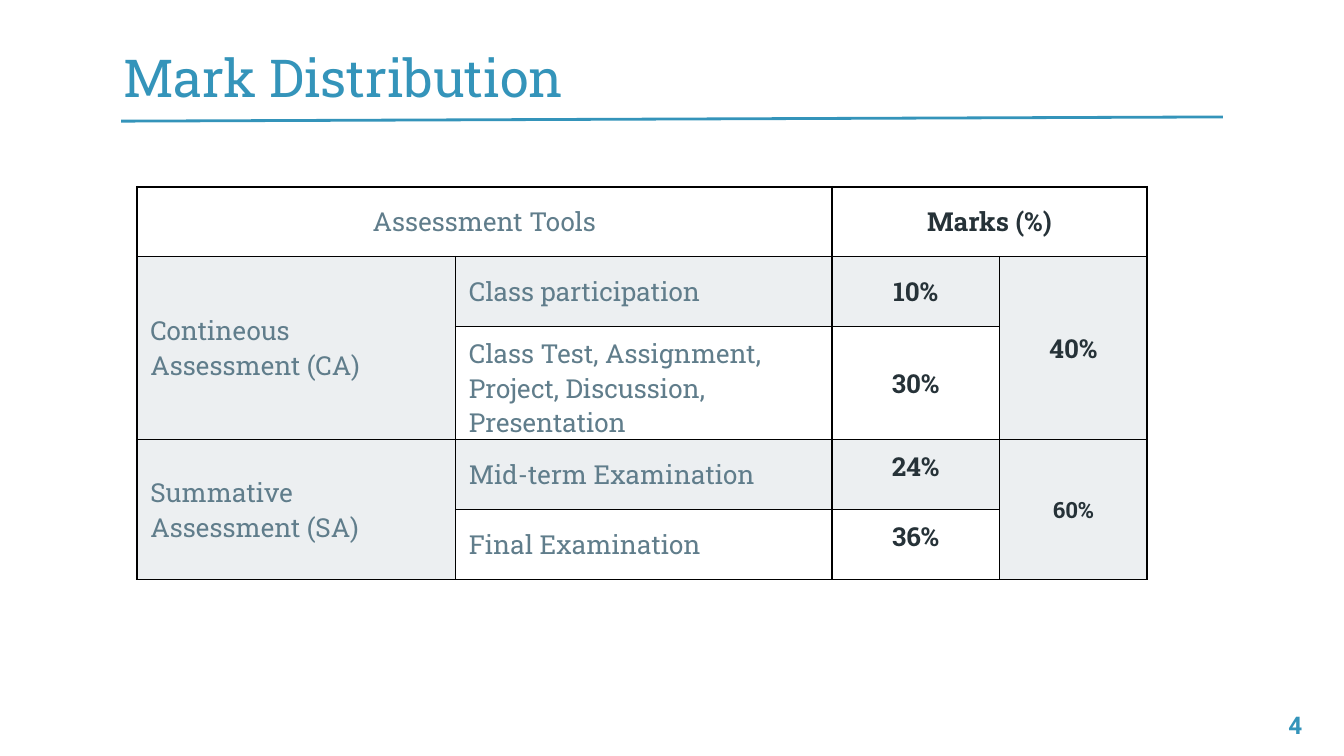
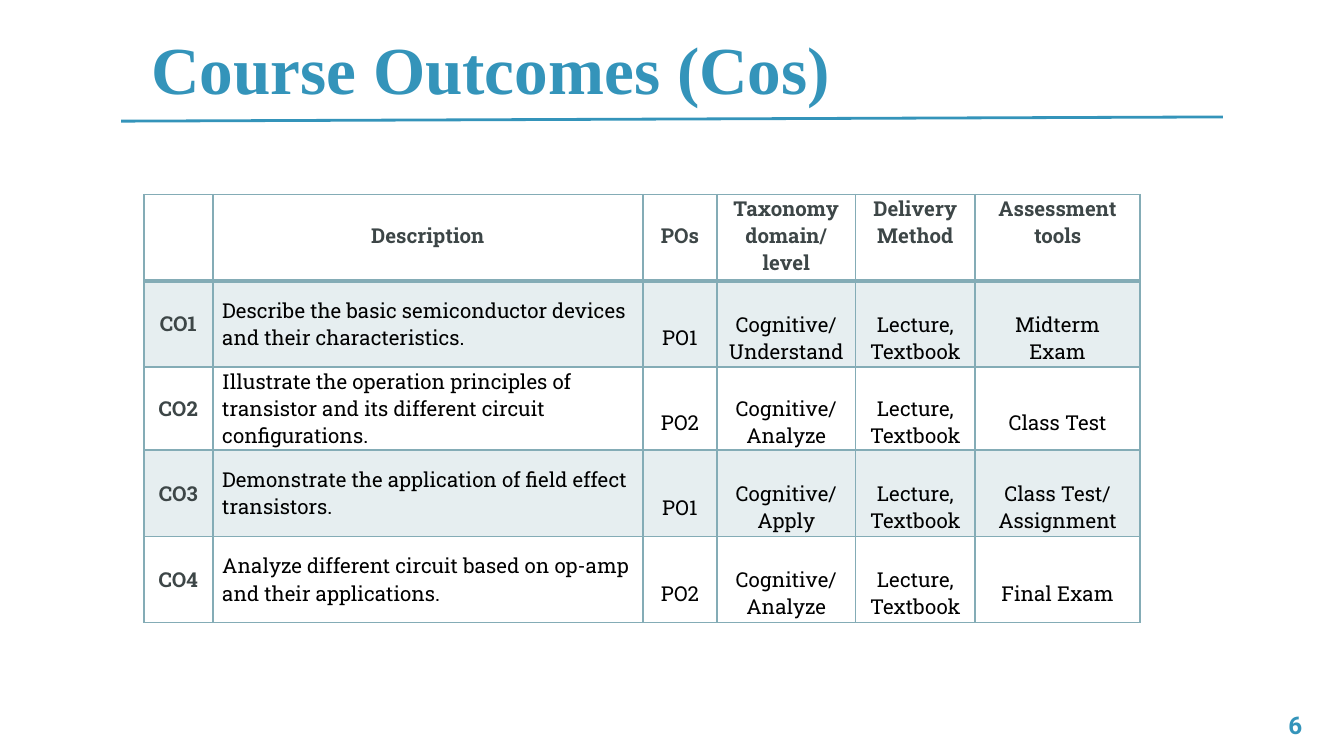
from lxml.etree import SubElement
from pptx import Presentation
from pptx.dml.color import RGBColor
from pptx.enum.shapes import MSO_CONNECTOR
from pptx.enum.text import MSO_ANCHOR as ANCHOR, PP_ALIGN as ALIGN
from pptx.oxml import parse_xml
from pptx.oxml.ns import nsdecls, qn
from pptx.util import Cm, Pt

BLUE = RGBColor(0x34, 0x94, 0xBA)
SLATE = RGBColor(0x60, 0x7D, 0x8B)
DARK = RGBColor(0x26, 0x32, 0x38)
PALE = RGBColor(0xEC, 0xEF, 0xF1)
WHITE = RGBColor(0xFF, 0xFF, 0xFF)
BLACK = RGBColor(0, 0, 0)
TEAL = RGBColor(0x84, 0xAC, 0xB6)
CHARCOAL = RGBColor(0x3D, 0x46, 0x47)
SLAB = "Roboto Slab"
LINE_GAP = 0.52

MARKS = [
    ["Assessment Tools", "", "Marks (%)", ""],
    ["Contineous Assessment (CA)", "Class participation", "10%", "40%"],
    ["", "Class Test, Assignment, Project, Discussion, Presentation", "30%", ""],
    ["Summative Assessment (SA)", "Mid-term Examination", "24%", "60%"],
    ["", "Final Examination", "36%", ""],
]
MARK_SPANS = [(0, 0, 0, 1), (0, 2, 0, 3), (1, 0, 2, 0),
              (3, 0, 4, 0), (1, 3, 2, 3), (3, 3, 4, 3)]
OUTCOMES = [
    ["", "Description", "POs", "Taxonomy domain/\nlevel", "Delivery Method",
     "Assessment tools"],
    ["CO1", "Describe the basic semiconductor devices and their characteristics.",
     "PO1", "Cognitive/\nUnderstand", "Lecture,\nTextbook", "Midterm Exam"],
    ["CO2", "Illustrate the operation principles of transistor and its different "
     "circuit configurations.",
     "PO2", "Cognitive/\nAnalyze", "Lecture, Textbook", "Class Test"],
    ["CO3", "Demonstrate the application of field effect transistors.",
     "PO1", "Cognitive/\nApply", "Lecture, Textbook", "Class Test/\nAssignment"],
    ["CO4", "Analyze different circuit based on op-amp and their applications.",
     "PO2", "Cognitive/\nAnalyze", "Lecture, Textbook", "Final Exam"],
]


def write(tf, text, size, color, bold=False, align=ALIGN.LEFT, font=SLAB):
    """Fill a text frame with text in one style."""
    tf.text = text
    for p in tf.paragraphs:
        p.alignment = align
        for r in p.runs:
            r.font.name, r.font.size = font, Pt(size)
            r.font.bold, r.font.color.rgb = bold, color


def add_text(s, box, text, size, anchor=ANCHOR.TOP, **style):
    """Add a wrapped blue text box."""
    tf = s.shapes.add_textbox(*map(Cm, box)).text_frame
    tf.word_wrap, tf.vertical_anchor = True, anchor
    tf.margin_left = tf.margin_right = tf.margin_top = tf.margin_bottom = Cm(0.25)
    write(tf, text, size, BLUE, **style)


def add_frame(s, title, box, size, number, **style):
    """Add the title, the rule under it and the page number."""
    add_text(s, box, title, size, ANCHOR.BOTTOM, **style)
    rule = s.shapes.add_connector(MSO_CONNECTOR.STRAIGHT, Cm(2.29), Cm(2.29),
                                  Cm(23.11), Cm(2.21))
    rule.line.color.rgb, rule.line.width = BLUE, Pt(1.5)
    SubElement(rule._element.spPr, qn("a:effectLst"))
    add_text(s, (23.34, 13.18, 1.52, 1.09), str(number), 13,
             bold=True, align=ALIGN.RIGHT, font="Roboto")


def add_grid(s, left, top, widths, heights):
    """Add an unbanded table and return it."""
    box = map(Cm, (left, top, sum(widths), sum(heights)))
    table = s.shapes.add_table(len(heights), len(widths), *box).table
    table.first_row = table.horz_banding = False
    for column, width in zip(table.columns, widths):
        column.width = Cm(width)
    for row, height in zip(table.rows, heights):
        row.height = Cm(height)
    return table


def set_margins(cell, side, top, bottom):
    """Set the cell margins in centimetres."""
    cell.margin_left = cell.margin_right = Cm(side)
    cell.margin_top, cell.margin_bottom = Cm(top), Cm(bottom)


def set_fill(cell, color, alpha=None):
    """Fill a cell, or clear it when the colour is None."""
    if color is None:
        cell.fill.background()
        return
    cell.fill.solid()
    cell.fill.fore_color.rgb = color
    if alpha:
        srgb = next(cell._tc.tcPr.iter(qn("a:srgbClr")))
        SubElement(srgb, qn("a:alpha"), val=str(alpha * 1000))


def set_borders(cell, color, top=1, bottom=1):
    """Draw the four cell borders, with widths in points."""
    sides = [("L", 1), ("R", 1), ("T", top), ("B", bottom)]
    for i, (side, width) in enumerate(sides):
        cell._tc.tcPr.insert(i, parse_xml(
            f'<a:ln{side} {nsdecls("a")} w="{Pt(width)}"><a:solidFill>'
            f'<a:srgbClr val="{color}"/></a:solidFill></a:ln{side}>'))


def add_marks(s, left, top):
    """Add the mark distribution table."""
    table = add_grid(s, left, top, [6.02, 7.11, 3.17, 2.79], [1.32] * 5)
    for i, row in enumerate(MARKS):
        for j, text in enumerate(row):
            cell = table.cell(i, j)
            is_mark = j > 1
            write(cell.text_frame, text, 12 if text == "60%" else 14,
                  DARK if is_mark else SLATE, is_mark,
                  ALIGN.CENTER if is_mark or i == 0 else ALIGN.LEFT)
            set_margins(cell, 0.25, 0.18, 0.18)
            cell.vertical_anchor = ANCHOR.TOP if j == 2 and i > 2 else ANCHOR.MIDDLE
            shaded = i in (1, 3) or (i > 0 and j in (0, 3))
            set_fill(cell, PALE if shaded else WHITE if i == 4 else None)
            set_borders(cell, BLACK)
    for r1, c1, r2, c2 in MARK_SPANS:
        table.cell(r1, c1).merge(table.cell(r2, c2))


def add_outcomes(s, left, top):
    """Add the course outcomes table."""
    table = add_grid(s, left, top, [1.3, 8.13, 1.4, 2.62, 2.26, 3.12],
                     [1.63, 1.63, 1.57, 1.63, 1.63])
    for i, row in enumerate(OUTCOMES):
        for j, text in enumerate(row):
            cell = table.cell(i, j)
            header = i == 0
            label = header or j == 0
            write(cell.text_frame, text, 11, CHARCOAL if label else BLACK, label,
                  ALIGN.LEFT if j == 1 and not header else ALIGN.CENTER)
            lowered = j in (1, 2) if header else j > 1
            set_margins(cell, 0.18, LINE_GAP if lowered else 0, 0)
            cell.vertical_anchor = ANCHOR.TOP if header else ANCHOR.MIDDLE
            set_fill(cell, TEAL if i % 2 else None, 20)
            set_borders(cell, TEAL, 2 if i == 1 else 1, 2 if header else 1)


def main():
    """Build the two slides and save them."""
    prs = Presentation()
    prs.slide_width, prs.slide_height = Cm(25.4), Cm(14.29)
    blank = prs.slide_layouts[6]

    s = prs.slides.add_slide(blank)
    add_frame(s, "Mark Distribution", (2.08, 0.33, 21.03, 1.96), 28, 4)
    add_marks(s, 2.59, 3.53)

    s = prs.slides.add_slide(blank)
    add_frame(s, "Course Outcomes (Cos)", (2.29, 0.28, 13.97, 2.01), 36, 6,
              bold=True, align=ALIGN.CENTER, font="Times New Roman")
    add_outcomes(s, 2.72, 3.68)

    prs.save("out.pptx")


if __name__ == "__main__":
    main()
